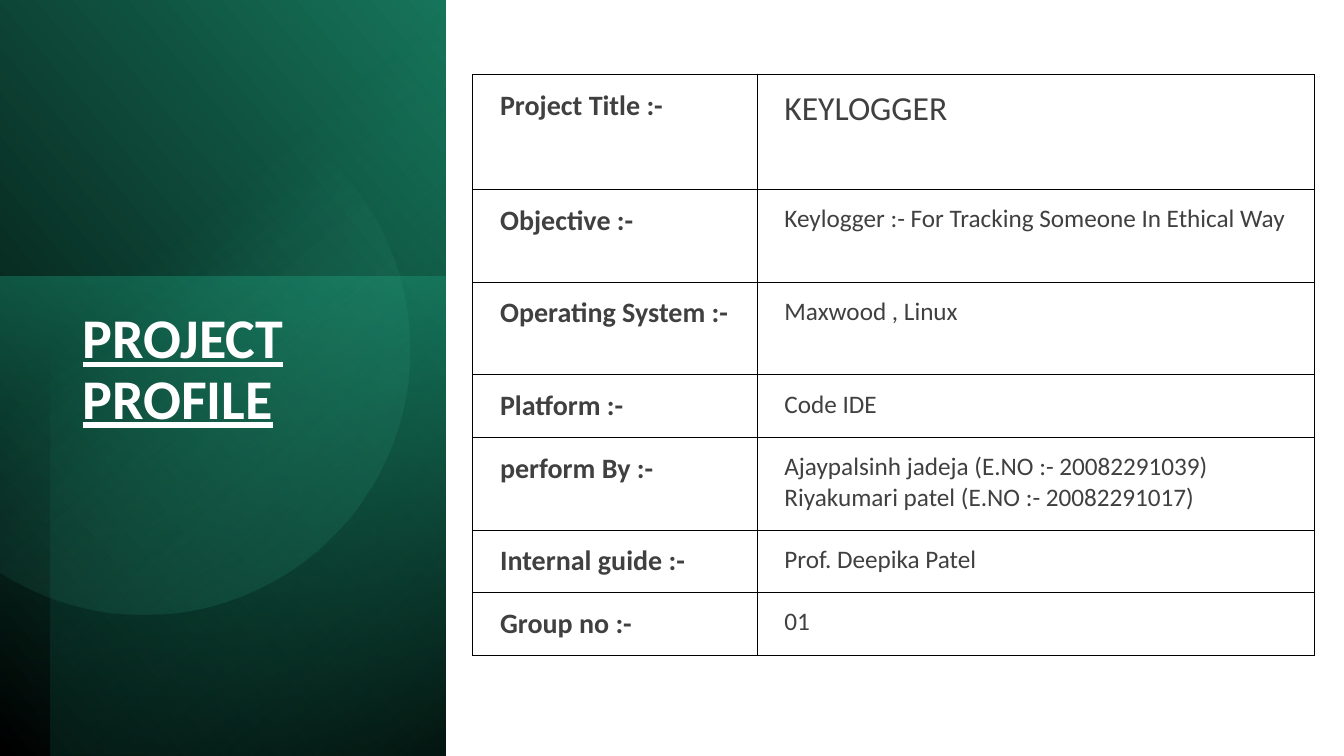
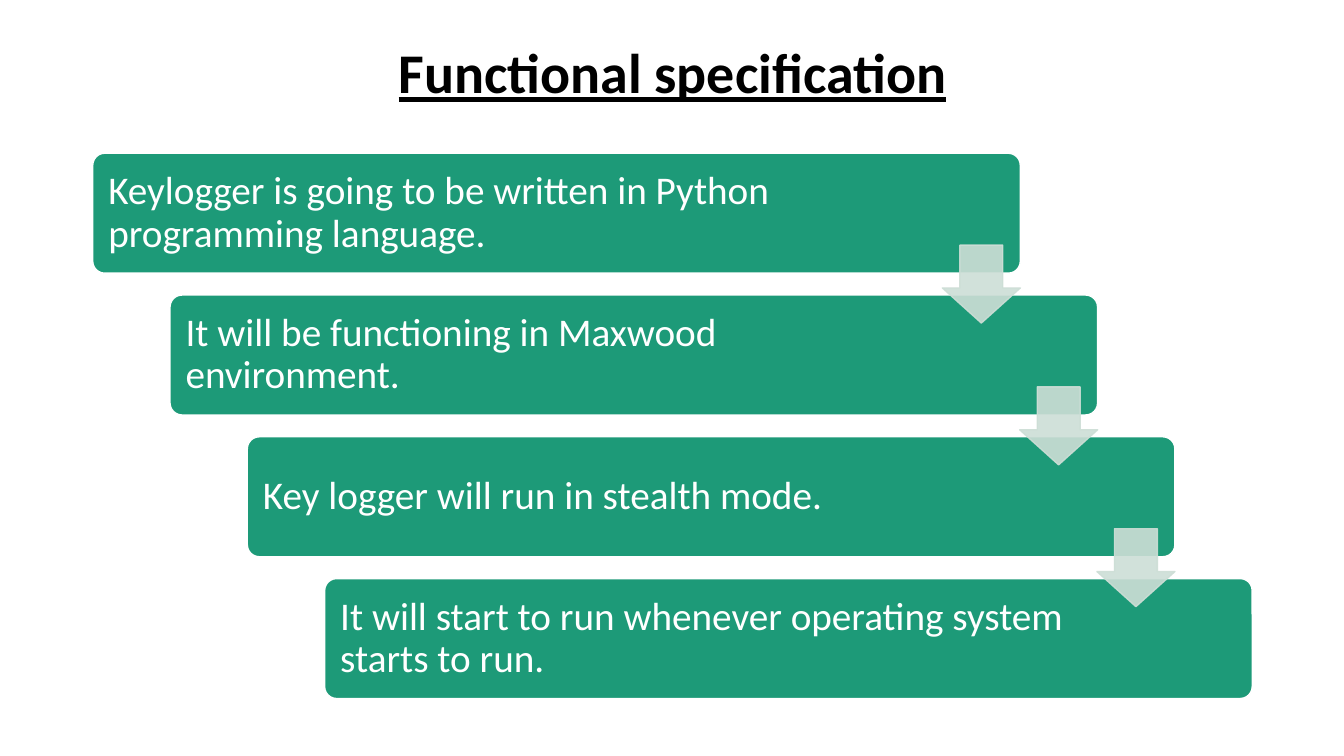
import math
from dataclasses import dataclass

from lxml import etree
from pptx import Presentation
from pptx import util as u
from pptx.dml.color import RGBColor
from pptx.enum import shapes, text
from pptx.oxml import parse_xml
from pptx.oxml.ns import nsdecls, qn

COLORS = {
    "black": "000000",
    "white": "FFFFFF",
    "text": "404040",
    "green": "1D9A78",
    "deep_green": "16745A",
    "dark_green": "0E4D3C",
    "mint": "5AE0BB",
    "arrow": "CDDED6",
}
FONT = "Calibri"
WIDTH, HEIGHT = 13.33, 7.5
PANEL_WIDTH = 4.42


@dataclass(frozen=True)
class Stop:
    position: int
    color: str
    opacity: int = 100


@dataclass(frozen=True)
class Box:
    left: float
    top: float
    width: float
    height: float

    def emu(self):
        return [u.Inches(v) for v in (self.left, self.top, self.width, self.height)]


@dataclass(frozen=True)
class PanelLayer:
    box: Box
    rotation: int
    flipped: bool
    angle: float
    stops: tuple[Stop, ...]


@dataclass(frozen=True)
class ProfileRow:
    label: str
    value: str
    height: float
    value_size: int = 18


PANEL_LAYERS = (
    PanelLayer(Box(-1.55, 1.55, 7.52, PANEL_WIDTH), 90, True, 310,
               (Stop(0, "black"), Stop(100, "deep_green"))),
    PanelLayer(Box(-0.17, 2.91, 4.76, PANEL_WIDTH), 270, False, 190,
               (Stop(0, "green", 50), Stop(100, "dark_green", 0))),
    PanelLayer(Box(-1.29, 1.79, 7.5, 3.92), 270, True, 220,
               (Stop(0, "black", 59), Stop(69, "green", 0))),
)
DISC_STOPS = (Stop(39, "mint", 0), Stop(100, "deep_green", 26))

PROFILE_ROWS = (
    ProfileRow("Project Title :-", "KEYLOGGER", 1.14, 24),
    ProfileRow("Objective :-", "Keylogger :- For Tracking Someone In Ethical Way", 0.92),
    ProfileRow("Operating System :-", "Maxwood , Linux", 0.92),
    ProfileRow("Platform :-", "Code IDE", 0.62),
    ProfileRow("perform By :-",
               "Ajaypalsinh jadeja (E.NO :- 20082291039)\n"
               "Riyakumari patel (E.NO :- 20082291017)", 0.92),
    ProfileRow("Internal guide :-", "Prof. Deepika Patel", 0.62),
    ProfileRow("Group no :-", "01", 0.62),
)

SPECIFICATIONS = (
    "Keylogger is going to be written in Python programming language.",
    "It will be functioning in Maxwood environment.",
    "Key logger will run in stealth mode.",
    "It will start to run whenever operating system starts to run.",
)


# Shared helpers
def rgb(name: str) -> RGBColor:
    return RGBColor.from_string(COLORS[name])


def style_font(paragraph, size: int, color: str, bold: bool = False) -> None:
    font = paragraph.font
    font.name, font.size, font.bold = FONT, u.Pt(size), bold
    font.color.rgb = rgb(color)


def set_insets(target, left: float, top: float, right: float, bottom: float) -> None:
    target.margin_left, target.margin_top = u.Inches(left), u.Inches(top)
    target.margin_right, target.margin_bottom = u.Inches(right), u.Inches(bottom)


def set_title(slide, words: str, box: Box, color: str, alignment) -> None:
    title = slide.shapes.title
    title.left, title.top, title.width, title.height = box.emu()
    frame = title.text_frame
    frame.text = words
    frame.word_wrap = True
    frame.auto_size = text.MSO_AUTO_SIZE.NONE
    frame.vertical_anchor = text.MSO_ANCHOR.TOP
    paragraph = frame.paragraphs[0]
    paragraph.alignment = alignment
    paragraph.line_spacing = 0.9
    style_font(paragraph, 40, color, bold=True)
    paragraph.font.underline = True
    slide.shapes._spTree.append(title.element)  # bring to front


def fill_gradient(shape, stops: tuple[Stop, ...], angle: float) -> None:
    stop_xml = "".join(
        f'<a:gs pos="{stop.position * 1000}"><a:srgbClr val="{COLORS[stop.color]}">'
        f'<a:alpha val="{stop.opacity * 1000}"/></a:srgbClr></a:gs>'
        for stop in stops)
    gradient = parse_xml(
        f'<a:gradFill {nsdecls("a")} rotWithShape="1"><a:gsLst>{stop_xml}</a:gsLst>'
        f'<a:lin ang="{round(angle * 60000)}" scaled="0"/></a:gradFill>')
    shape.fill.background()
    properties = shape.element.spPr
    properties.replace(properties.find(qn("a:noFill")), gradient)
    shape.line.fill.background()
    shape.shadow.inherit = False


def add_solid(slide, kind, box: Box, fill: str, line: str, adjustments, opacity: int = 100):
    shape = slide.shapes.add_shape(kind, *box.emu())
    for index, value in enumerate(adjustments):
        shape.adjustments[index] = value
    shape.fill.solid()
    shape.fill.fore_color.rgb = rgb(fill)
    shape.line.color.rgb = rgb(line)
    shape.line.width = u.Pt(1)
    shape.shadow.inherit = False
    if opacity < 100:
        for color in shape.element.spPr.iter(qn("a:srgbClr")):
            etree.SubElement(color, qn("a:alpha"), val=str(opacity * 1000))
    return shape


# Project profile slide
def add_panel(slide) -> None:
    for layer in PANEL_LAYERS:
        shape = slide.shapes.add_shape(shapes.MSO_SHAPE.RECTANGLE, *layer.box.emu())
        shape.rotation = layer.rotation
        if layer.flipped:
            shape.element.spPr.xfrm.set("flipH", "1")
        fill_gradient(shape, layer.stops, layer.angle)


def add_disc(slide, center_x: float, center_y: float, radius: float) -> None:
    """Draw a disc cut off by the slide's left edge."""
    limit = math.acos(-center_x / radius)
    segments = 120
    angles = [limit * (2 * i / segments - 1) for i in range(segments + 1)]
    points = [(u.Inches(center_x + radius * math.cos(angle)),
               u.Inches(center_y + radius * math.sin(angle))) for angle in angles]
    builder = slide.shapes.build_freeform(*points[0])
    builder.add_line_segments(points[1:], close=True)
    fill_gradient(builder.convert_to_shape(), DISC_STOPS, 51.6)


def fill_cell(cell, words: str, size: int, bold: bool) -> None:
    cell.text = words
    set_insets(cell, 0.27, 0.14, 0.2, 0.14)
    for paragraph in cell.text_frame.paragraphs:
        style_font(paragraph, size, "text", bold)
    properties = cell._tc.get_or_add_tcPr()
    for side in ("lnL", "lnR", "lnT", "lnB"):
        properties.append(parse_xml(
            f'<a:{side} {nsdecls("a")} w="12700"><a:solidFill>'
            f'<a:srgbClr val="{COLORS["black"]}"/></a:solidFill></a:{side}>'))
    cell.fill.background()


def add_profile_table(slide, box: Box, label_width: float) -> None:
    table = slide.shapes.add_table(len(PROFILE_ROWS), 2, *box.emu()).table
    table.first_row = table.horz_banding = False
    table.columns[0].width = u.Inches(label_width)
    table.columns[1].width = u.Inches(box.width - label_width)
    for index, row in enumerate(PROFILE_ROWS):
        table.rows[index].height = u.Inches(row.height)
        fill_cell(table.cell(index, 0), row.label, 20, True)
        fill_cell(table.cell(index, 1), row.value, row.value_size, False)


def build_profile(slide) -> None:
    add_panel(slide)
    add_disc(slide, 1.43, 3.47, 2.63)
    set_title(slide, "PROJECT PROFILE", Box(0.72, 3.03, 3.15, 3.36), "white",
              text.PP_ALIGN.LEFT)
    height = sum(row.height for row in PROFILE_ROWS)
    add_profile_table(slide, Box(4.69, 0.74, 8.35, height), 2.82)


# Functional specification slide
def add_staircase(slide, area: Box) -> None:
    width, height = area.width * 0.8, area.height * 0.22
    gaps = len(SPECIFICATIONS) - 1
    step_x, step_y = (area.width - width) / gaps, (area.height - height) / gaps
    steps = [Box(area.left + i * step_x, area.top + i * step_y, width, height)
             for i in range(len(SPECIFICATIONS))]
    for step, words in zip(steps, SPECIFICATIONS):
        shape = add_solid(slide, shapes.MSO_SHAPE.ROUNDED_RECTANGLE, step,
                          "green", "white", [0.1])
        frame = shape.text_frame
        frame.text = words
        frame.word_wrap = True
        frame.vertical_anchor = text.MSO_ANCHOR.MIDDLE
        set_insets(frame, 0.12, 0.12, 1.68, 0.12)
        paragraph = frame.paragraphs[0]
        paragraph.alignment = text.PP_ALIGN.LEFT
        paragraph.line_spacing = 0.9
        style_font(paragraph, 28, "white")

    # Arrows centred on the gaps, flush with the upper step's right edge
    size = height * 0.65
    for step in steps[:-1]:
        middle = step.top + (height + step_y) / 2
        add_solid(slide, shapes.MSO_SHAPE.DOWN_ARROW,
                  Box(step.left + width - size, middle - size / 2, size, size),
                  "arrow", "arrow", [0.55, 0.45], opacity=90)


def build_specification(slide) -> None:
    set_title(slide, "Functional specification", Box(0.92, 0.4, 11.5, 0.82), "black",
              text.PP_ALIGN.CENTER)
    add_staircase(slide, Box(0.92, 1.52, 11.5, 5.41))


def main() -> None:
    presentation = Presentation()
    presentation.slide_width = u.Inches(WIDTH)
    presentation.slide_height = u.Inches(HEIGHT)
    title_only = presentation.slide_layouts[5]
    for build in (build_profile, build_specification):
        build(presentation.slides.add_slide(title_only))
    presentation.save("out.pptx")


if __name__ == "__main__":
    main()
